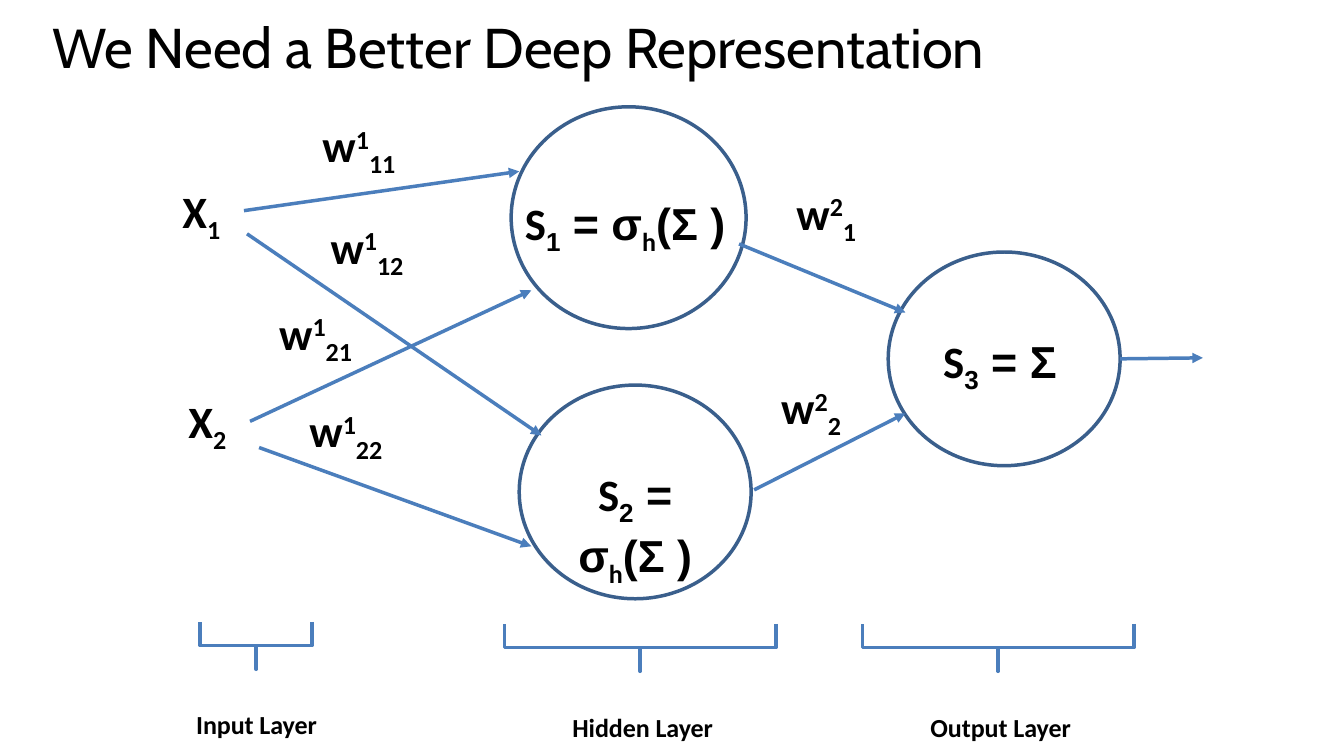
from dataclasses import dataclass

from lxml.etree import SubElement
from pptx import Presentation
from pptx.dml.color import RGBColor
from pptx.enum.shapes import MSO_CONNECTOR, MSO_SHAPE
from pptx.enum.text import MSO_ANCHOR, MSO_AUTO_SIZE, PP_ALIGN
from pptx.oxml.ns import qn
from pptx.shapes.base import BaseShape
from pptx.slide import Slide
from pptx.text.text import Font
from pptx.util import Emu, Pt

BLACK = RGBColor(0x00, 0x00, 0x00)
NODE_BLUE = RGBColor(0x3A, 0x5F, 0x8C)
ARROW_BLUE = RGBColor(0x4B, 0x7E, 0xBC)
SUPER, SUB = 30, -25
LINE_WIDTH = Pt(2.5)
LABEL_HEIGHT = 64


@dataclass(frozen=True)
class Span:
    text: str
    baseline: int = 0
    font: str = "Calibri"


@dataclass(frozen=True)
class Label:
    left: int
    top: int
    width: int
    spans: list[Span]
    align: PP_ALIGN = PP_ALIGN.LEFT
    height: int = LABEL_HEIGHT


@dataclass(frozen=True)
class Node:
    left: int
    top: int
    width: int
    height: int


@dataclass(frozen=True)
class Arrow:
    x1: int
    y1: int
    x2: int
    y2: int


@dataclass(frozen=True)
class Layer:
    name: str
    center: int
    brace_width: int
    brace_top: int
    label_left: int
    label_top: int
    label_width: int


def px(length: int) -> Emu:
    """One px is a hundredth of an inch."""
    return Emu(length * 9144)


def weight(left: int, top: int, upper: str, lower: str) -> Label:
    return Label(left, top, 101, [Span("w"), Span(upper, SUPER), Span(lower, SUB)])


def network_input(left: int, top: int, index: str) -> Label:
    return Label(left, top, 70, [Span("X"), Span(index, SUB)])


def neuron(left: int, top: int, width: int, index: str, *formula: Span) -> Label:
    spans = [Span("S"), Span(index, SUB, "Arial"), *formula]
    return Label(left, top, width, spans, PP_ALIGN.CENTER)


def activation(closing: str) -> list[Span]:
    return [Span(" = σ", font="Arial"), Span("h", SUB), Span(closing, font="Arial")]


NODES = [
    Node(881, 250, 230, 212),
    Node(507, 106, 233, 220),
    Node(515, 382, 230, 212),
]
ARROWS = [
    Arrow(1111, 356, 1193, 355),
    Arrow(242, 209, 515, 170),
    Arrow(245, 232, 537, 432),
    Arrow(733, 242, 898, 310),
    Arrow(748, 486, 898, 410),
    Arrow(248, 418, 527, 288),
    Arrow(257, 444, 527, 542),
]
LABELS = [
    network_input(171, 177, "1"),
    network_input(177, 386, "2"),
    neuron(507, 189, 226, "1", *activation("(Σ ) ")),
    neuron(521, 458, 218, "2", *activation("(Σ )")),
    neuron(891, 326, 214, "3", Span(" = Σ ", font="Arial")),
    weight(310, 112, "1", "11"),
    weight(318, 213, "1", "12"),
    weight(267, 298, "1", "21"),
    weight(297, 395, "1", "22"),
    weight(780, 179, "2", "1"),
    weight(765, 372, "2", "2"),
]
LAYERS = [
    Layer("Input Layer", 254, 111, 617, 163, 668, 183),
    Layer("Hidden Layer", 635, 269, 619, 536, 671, 203),
    Layer("Output Layer", 990, 269, 619, 891, 671, 203),
]


def set_font(font: Font, name: str, size: int, bold: bool) -> None:
    font.name = name
    font.size = Pt(size)
    font.bold = bold
    font.color.rgb = BLACK


def add_title(page: Slide, text: str) -> None:
    title = page.shapes.title
    title.left, title.top = px(42), px(20)
    title.width, title.height = px(1260), px(116)
    frame = title.text_frame
    frame.text = text
    frame.vertical_anchor = MSO_ANCHOR.TOP
    frame.auto_size = MSO_AUTO_SIZE.NONE
    para = frame.paragraphs[0]
    para.alignment = PP_ALIGN.LEFT
    para.line_spacing = 0.8
    set_font(para.font, "Cabin", 40, False)


def set_outline(shape: BaseShape, color: RGBColor) -> None:
    shape.shadow.inherit = False
    shape.fill.background()
    shape.line.color.rgb = color
    shape.line.width = LINE_WIDTH


def add_node(page: Slide, node: Node) -> None:
    circle = page.shapes.add_shape(
        MSO_SHAPE.OVAL, px(node.left), px(node.top), px(node.width), px(node.height)
    )
    set_outline(circle, NODE_BLUE)


def add_arrow(page: Slide, arrow: Arrow) -> None:
    connector = page.shapes.add_connector(
        MSO_CONNECTOR.STRAIGHT, px(arrow.x1), px(arrow.y1), px(arrow.x2), px(arrow.y2)
    )
    connector.line.color.rgb = ARROW_BLUE
    connector.line.width = LINE_WIDTH
    SubElement(connector.line._get_or_add_ln(), qn("a:tailEnd"), type="triangle")
    SubElement(connector._element.spPr, qn("a:effectLst"))


def add_label(page: Slide, label: Label) -> None:
    box = page.shapes.add_textbox(
        px(label.left), px(label.top), px(label.width), px(label.height)
    )
    frame = box.text_frame
    frame.word_wrap = True
    frame.auto_size = MSO_AUTO_SIZE.SHAPE_TO_FIT_TEXT
    para = frame.paragraphs[0]
    para.alignment = label.align
    set_font(para.font, "Calibri", 32, True)
    for span in label.spans:
        run = para.add_run()
        run.text = span.text
        if span.font != "Calibri":
            run.font.name = span.font
        if span.baseline:
            run._r.get_or_add_rPr().set("baseline", str(span.baseline * 1000))


def add_layer(page: Slide, layer: Layer) -> None:
    """Draw a bracket, a right brace turned to point down, and its caption."""
    depth, span = px(47), px(layer.brace_width)
    brace = page.shapes.add_shape(
        MSO_SHAPE.RIGHT_BRACE,
        px(layer.center) - depth // 2,
        px(layer.brace_top) + (depth - span) // 2,
        depth,
        span,
    )
    brace.rotation = 90
    brace.adjustments[0] = 0
    brace.adjustments[1] = 0.5
    set_outline(brace, ARROW_BLUE)
    caption = [Span(layer.name, SUB)]
    add_label(page, Label(layer.label_left, layer.label_top, layer.label_width,
                          caption, PP_ALIGN.CENTER, 46))


def main() -> None:
    deck = Presentation()
    deck.slide_width, deck.slide_height = px(1333), px(750)
    page = deck.slides.add_slide(deck.slide_layouts[5])
    add_title(page, "We Need a Better Deep Representation")
    for node in NODES:
        add_node(page, node)
    for arrow in ARROWS:
        add_arrow(page, arrow)
    for label in LABELS:
        add_label(page, label)
    for layer in LAYERS:
        add_layer(page, layer)
    deck.save("out.pptx")


if __name__ == "__main__":
    main()
